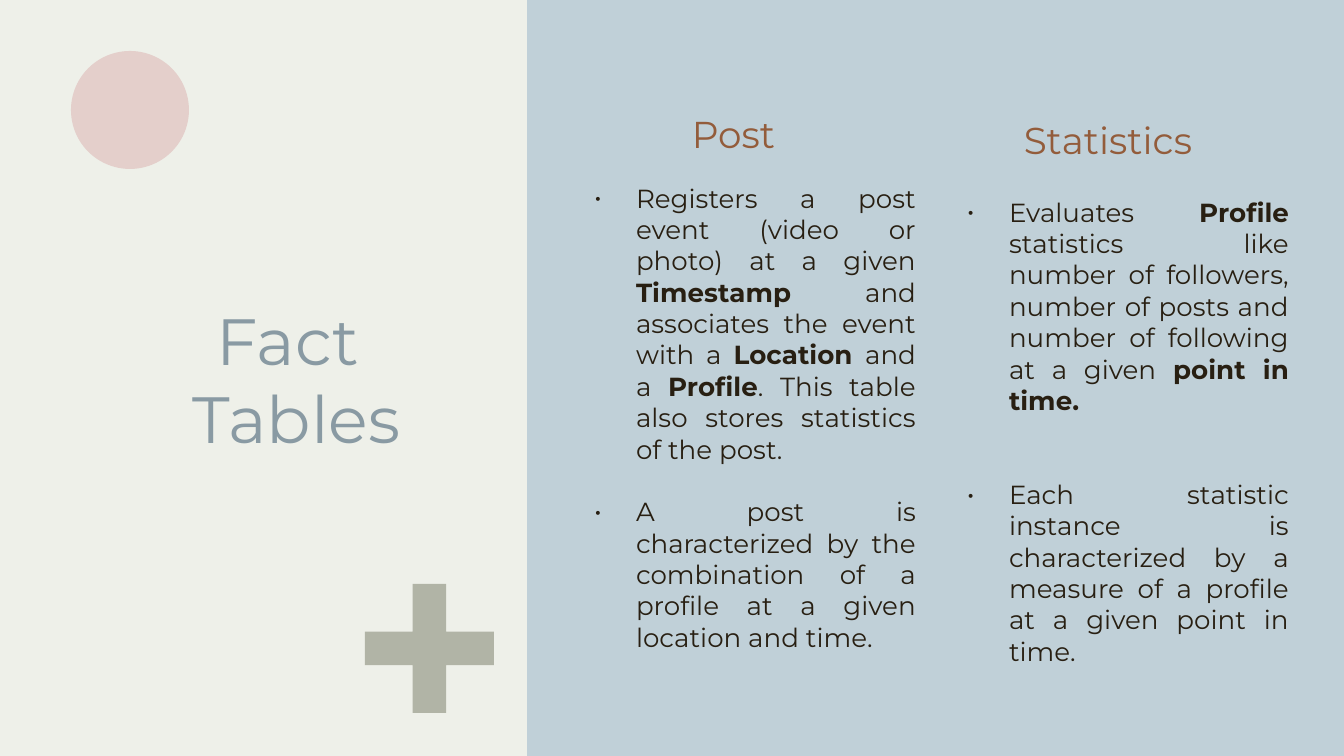
"""Build the Fact Tables slide with its Post and Statistics columns."""
from dataclasses import dataclass

from lxml.etree import SubElement
from pptx import Presentation
from pptx.dml.color import RGBColor
from pptx.enum.shapes import MSO_SHAPE as Shape
from pptx.enum.text import MSO_ANCHOR as Anchor, PP_ALIGN as Align
from pptx.oxml.ns import qn
from pptx.util import Pt


@dataclass(frozen=True)
class Theme:
    font: str = "Montserrat"
    background: str = "C0D0D8"
    panel: str = "EEF0E9"
    plus: str = "B1B4A6"
    circle: str = "E4CFCB"
    title: str = "899AA3"
    heading: str = "935C3B"
    body: str = "281F12"
    title_size: int = 35
    heading_size: int = 20
    body_size: int = 14
    blank_line: float = 16.8


theme = Theme()
PX = 914400 / 134.4
INSET = 13
INDENT = 42


def add_box(bounds, anchor):
    box = slide.shapes.add_textbox(*(round(n * PX) for n in bounds))
    frame = box.text_frame
    frame.word_wrap = True
    frame.vertical_anchor = anchor
    frame.margin_left = frame.margin_right = round(INSET * PX)
    frame.margin_top = frame.margin_bottom = round(INSET * PX)
    return frame


def style_runs(para, size, color):
    for span in para.runs:
        span.font.name = theme.font
        span.font.size = Pt(size)
        span.font.color.rgb = RGBColor.from_string(color)


deck = Presentation()
deck.slide_width, deck.slide_height = round(1344 * PX), round(756 * PX)
slide = deck.slides.add_slide(deck.slide_layouts[6])
slide.background.fill.solid()
slide.background.fill.fore_color.rgb = RGBColor.from_string(theme.background)

decorations = [
    (Shape.RECTANGLE, (0, 0, 527, 756), theme.panel),
    (Shape.CROSS, (365, 584, 129, 129), theme.plus),
    (Shape.OVAL, (71, 51, 118, 118), theme.circle),
]
for kind, bounds, color in decorations:
    shape = slide.shapes.add_shape(kind, *(round(n * PX) for n in bounds))
    shape.shadow.inherit = False
    shape.fill.solid()
    shape.fill.fore_color.rgb = RGBColor.from_string(color)
    shape.line.fill.background()
    if kind == Shape.CROSS:
        shape.adjustments[0] = 0.37

labels = [
    ("Fact \vTables", (78, 296, 437, 165), Anchor.MIDDLE, theme.title_size, theme.title),
    ("Post", (579, 105, 309, 64), Anchor.BOTTOM, theme.heading_size, theme.heading),
    ("Statistics", (954, 111, 308, 64), Anchor.BOTTOM, theme.heading_size, theme.heading),
]
for text, bounds, anchor, size, color in labels:
    para = add_box(bounds, anchor).paragraphs[0]
    para.text = text
    para.alignment = Align.CENTER
    style_runs(para, size, color)

post_points = [
    [
        ("Registers a post event (video or photo) at a given ", False),
        ("Timestamp ", True),
        ("and associates the event with a ", False),
        ("Location ", True),
        ("and a ", False),
        ("Profile", True),
        (". This table also stores statistics of the post.", False),
    ],
    [("A post is characterized by the combination of a profile "
      "at a given location and time.", False)],
]
statistics_points = [
    [
        ("Evaluates ", False),
        ("Profile ", True),
        ("statistics like number of followers, number of posts "
         "and number of following at a given ", False),
        ("point in time.", True),
    ],
    [("Each statistic instance is characterized by a measure "
      "of a profile at a given point in time.", False)],
]
columns = [
    ((581, 169, 348, 525), post_points, 1),
    ((954, 183, 348, 482), statistics_points, 2),
]
for bounds, points, gap_lines in columns:
    frame = add_box(bounds, Anchor.TOP)
    for index, point in enumerate(points):
        para = frame.add_paragraph() if index else frame.paragraphs[0]
        para.alignment = Align.JUSTIFY
        para.space_before = Pt(index * gap_lines * theme.blank_line)
        for text, bold in point:
            span = para.add_run()
            span.text = text
            span.font.bold = bold
        style_runs(para, theme.body_size, theme.body)
        properties = para._p.get_or_add_pPr()
        properties.set("marL", str(round(INDENT * PX)))
        properties.set("indent", str(round(-INDENT * PX)))
        bullet_color = SubElement(properties, qn("a:buClr"))
        SubElement(bullet_color, qn("a:srgbClr"), val=theme.body)
        SubElement(properties, qn("a:buFont"), typeface=theme.font)
        SubElement(properties, qn("a:buChar"), char="•")

deck.save("out.pptx")
